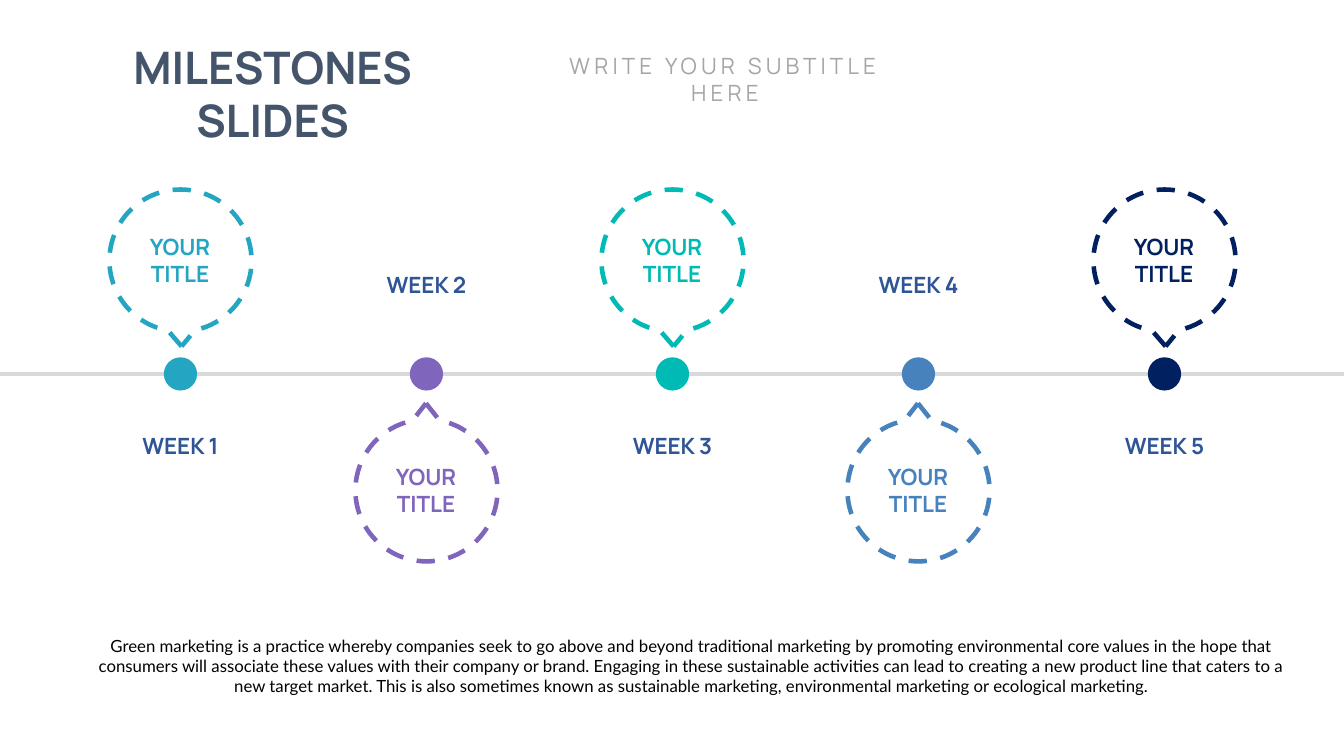
from lxml import etree
from pptx import Presentation
from pptx.dml.color import RGBColor
from pptx.enum.dml import MSO_LINE
from pptx.enum.shapes import MSO_CONNECTOR, MSO_SHAPE
from pptx.enum.text import MSO_ANCHOR, MSO_AUTO_SIZE, PP_ALIGN
from pptx.oxml.ns import qn
from pptx.util import Inches, Pt

DASH = MSO_LINE.DASH
STRAIGHT = MSO_CONNECTOR.STRAIGHT
OVAL, CALLOUT = MSO_SHAPE.OVAL, MSO_SHAPE.OVAL_CALLOUT
TOP, MIDDLE = MSO_ANCHOR.TOP, MSO_ANCHOR.MIDDLE
CENTER = PP_ALIGN.CENTER
GROW = MSO_AUTO_SIZE.SHAPE_TO_FIT_TEXT

SLATE = RGBColor(0x44, 0x54, 0x6A)
GRAY = RGBColor(0xA6, 0xA6, 0xA6)
SILVER = RGBColor(0xD9, 0xD9, 0xD9)
BLUE = RGBColor(0x2F, 0x55, 0x97)
BLACK = RGBColor(0, 0, 0)
CYAN = RGBColor(0x24, 0xA5, 0xC1)
PURPLE = RGBColor(0x7F, 0x65, 0xBB)
TEAL = RGBColor(0x00, 0xBA, 0xB5)
STEEL = RGBColor(0x47, 0x82, 0xBD)
NAVY = RGBColor(0x00, 0x20, 0x60)
HEAD, BODY = "Manrope", "Lato"

TITLE = "MILESTONES SLIDES"
SUBTITLE = "WRITE YOUR SUBTITLE HERE"
WEEKS = [
    ("WEEK 1", "YOUR TITLE", CYAN),
    ("WEEK 2", "YOUR TITLE", PURPLE),
    ("WEEK 3", "YOUR TITLE", TEAL),
    ("WEEK 4", "YOUR TITLE", STEEL),
    ("WEEK 5", "YOUR TITLE", NAVY),
]
NOTE = (
    "Green marketing is a practice whereby companies seek to go above and beyond "
    "traditional marketing by promoting environmental core values in the hope that "
    "consumers will associate these values with their company or brand. Engaging in "
    "these sustainable activities can lead to creating a new product line that "
    "caters to a new target market. This is also sometimes known as sustainable "
    "marketing, environmental marketing or ecological marketing."
)

WIDTH, HEIGHT = 13.33, 7.5
AXIS = 3.71
FIRST, STEP = 1.79, 2.44
DOT, RING = 0.33, 1.41
# callout top, week top, pointer x, pointer y
ABOVE = (1.88, 4.24, 0.008, 0.604)
BELOW = (4.16, 2.64, -0.004, -0.613)

deck = Presentation()
deck.slide_width, deck.slide_height = Inches(WIDTH), Inches(HEIGHT)
slide = deck.slides.add_slide(deck.slide_layouts[6])
shapes = slide.shapes


def add_text(text, box, size, color, font=HEAD, bold=True, anchor=MIDDLE, wrap=True):
    frame = shapes.add_textbox(*map(Inches, box)).text_frame
    frame.word_wrap = wrap
    frame.auto_size = GROW
    frame.vertical_anchor = anchor
    para = frame.paragraphs[0]
    para.alignment = CENTER
    run = para.add_run()
    run.text = text
    run.font.name, run.font.size, run.font.bold = font, Pt(size), bold
    run.font.color.rgb = color
    return run


def add_round(kind, mid, top, size):
    shape = shapes.add_shape(
        kind, Inches(mid - size / 2), Inches(top), Inches(size), Inches(size))
    shape.shadow.inherit = False
    return shape


add_text(TITLE, (0.45, 0.34, 4.51, 0.64), 32, SLATE, anchor=TOP)
sub = add_text(SUBTITLE, (5.18, 0.47, 4.02, 0.37), 16, GRAY, bold=False, anchor=TOP)
sub.font._element.set("spc", "300")

axis = shapes.add_connector(
    STRAIGHT, Inches(WIDTH), Inches(AXIS), Inches(0), Inches(AXIS))
axis.line.color.rgb, axis.line.width = SILVER, Pt(3)
etree.SubElement(axis._element.spPr, qn("a:effectLst"))

for i, (week, label, color) in enumerate(WEEKS):
    mid = FIRST + i * STEP
    top, low, tip_x, tip_y = BELOW if i % 2 else ABOVE

    dot = add_round(OVAL, mid, AXIS - DOT / 2, DOT)
    dot.fill.solid()
    dot.fill.fore_color.rgb = color
    dot.line.fill.background()

    ring = add_round(CALLOUT, mid, top, RING)
    ring.adjustments[0], ring.adjustments[1] = tip_x, tip_y
    ring.fill.background()
    ring.line.color.rgb, ring.line.width = color, Pt(3.25)
    ring.line.dash_style = DASH

    add_text(label, (mid - 0.44, top + 0.38, 0.87, 0.64), 16, color)
    add_text(week, (mid - 0.51, low, 1.02, 0.37), 16, BLUE, wrap=False)

add_text(NOTE, (0.87, 6.25, 11.98, 0.71), 12, BLACK, font=BODY, bold=False)

deck.save("out.pptx")
